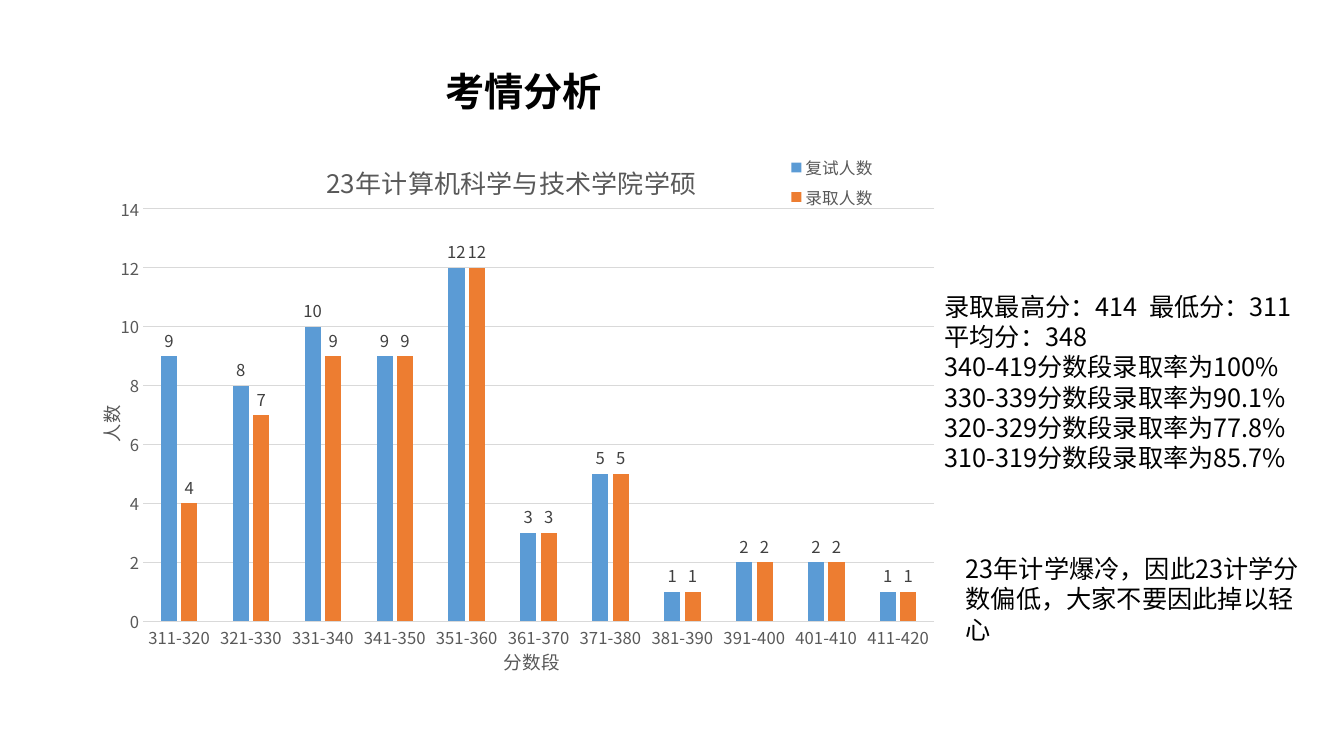
import pptx
import pptx.util
import pptx.dml.color
import pptx.chart.data
import pptx.enum.chart
import pptx.enum.text
import pptx.oxml
import pptx.oxml.ns
from dataclasses import dataclass


@dataclass(frozen=True)
class Theme:
    font: str = "Noto Sans CJK SC"
    title_font: str = "Arial"
    black: str = "000000"
    gray: str = "595959"
    label: str = "404040"
    grid: str = "D9D9D9"
    series: tuple = ("5B9BD5", "ED7D31")
    title_size: float = 28
    body_size: float = 18
    chart_title_size: float = 18.6
    axis_title_size: float = 13.3
    tick_size: float = 11.9


THEME = Theme()
PX = 9144  # 100 px to the inch
CATEGORIES = ["311-320", "321-330", "331-340", "341-350", "351-360", "361-370",
              "371-380", "381-390", "391-400", "401-410", "411-420"]
SERIES = {"复试人数": [9, 8, 10, 9, 12, 3, 5, 1, 2, 2, 1],
          "录取人数": [4, 7, 9, 9, 12, 3, 5, 1, 2, 2, 1]}
SCORES = ["录取最高分：414  最低分：311", "平均分：348", "340-419分数段录取率为100%",
          "330-339分数段录取率为90.1%", "320-329分数段录取率为77.8%",
          "310-319分数段录取率为85.7%"]
REMARK = ["23年计学爆冷，因此23计学分数偏低，大家不要因此掉以轻心"]


def emu(box):
    return [v * PX for v in box]


def rgb(color):
    return pptx.dml.color.RGBColor.from_string(color)


def set_font(font, size, color, name=THEME.font, bold=False):
    values = {"size": pptx.util.Pt(size), "name": name, "bold": bold}
    for key, value in values.items():
        setattr(font, key, value)
    font.color.rgb = rgb(color)


def add_text(slide, box, lines, size, name=THEME.font, bold=False, align=None):
    tf = slide.shapes.add_textbox(*emu(box)).text_frame
    values = {"word_wrap": True,
              "auto_size": pptx.enum.text.MSO_AUTO_SIZE.SHAPE_TO_FIT_TEXT}
    for key, value in values.items():
        setattr(tf, key, value)
    for i, line in enumerate(lines):
        p = tf.add_paragraph() if i else tf.paragraphs[0]
        p.alignment = align
        p.line_spacing = pptx.util.Pt(size * 1.2)
        r = p.add_run()
        r.text = line
        set_font(r.font, size, THEME.black, name, bold)


def set_layout(parent, after, x, y, w=None, h=None, inner=False):
    """Place a chart part by fractions of the chart's box."""
    for old in parent.findall(pptx.oxml.ns.qn("c:layout")):
        parent.remove(old)
    parts = [("layoutTarget", "inner")] if inner else []
    parts += [("xMode", "edge"), ("yMode", "edge"), ("x", x), ("y", y)]
    parts += [("w", w), ("h", h)] if w else []
    body = "".join(f'<c:{tag} val="{value}"/>' for tag, value in parts)
    layout = pptx.oxml.parse_xml(
        f'<c:layout {pptx.oxml.ns.nsdecls("c")}><c:manualLayout>{body}'
        '</c:manualLayout></c:layout>')
    if after is None:
        parent.insert(0, layout)
    else:
        parent.find(pptx.oxml.ns.qn(after)).addnext(layout)


def set_title(owner, text, size, x, y):
    title = owner.chart_title if hasattr(owner, "chart_title") else owner.axis_title
    p = title.text_frame.paragraphs[0]
    r = p.add_run()
    r.text = text
    set_font(r.font, size, THEME.gray)
    set_layout(title._element, "c:tx", x, y)


def add_score_chart(slide, box):
    data = pptx.chart.data.CategoryChartData()
    data.categories = CATEGORIES
    for name, values in SERIES.items():
        data.add_series(name, values)
    ec = pptx.enum.chart
    chart = slide.shapes.add_chart(
        ec.XL_CHART_TYPE.COLUMN_CLUSTERED, *emu(box), data).chart
    set_font(chart.font, 10, THEME.black)

    # Columns and value labels
    plot = chart.plots[0]
    for key, value in {"gap_width": 219, "overlap": -27,
                       "vary_by_categories": False}.items():
        setattr(plot, key, value)
    for series, color in zip(plot.series, THEME.series):
        series.format.fill.solid()
        series.format.fill.fore_color.rgb = rgb(color)
        labels = series.data_labels
        labels.show_value = True
        labels.position = ec.XL_LABEL_POSITION.OUTSIDE_END
        set_font(labels.font, THEME.tick_size, THEME.label)

    # Axes
    cat, val = chart.category_axis, chart.value_axis
    for axis in (cat, val):
        axis.major_tick_mark = axis.minor_tick_mark = ec.XL_TICK_MARK.NONE
        set_font(axis.tick_labels.font, THEME.tick_size, THEME.gray)
    for key, value in {"minimum_scale": 0, "maximum_scale": 14,
                       "major_unit": 2}.items():
        setattr(val, key, value)
    val.format.line.fill.background()
    for line in (cat.format.line, val.major_gridlines.format.line):
        line.color.rgb = rgb(THEME.grid)
        line.width = pptx.util.Pt(0.75)

    # Titles, legend and plot area
    set_title(chart, "23年计算机科学与技术学院学硕", THEME.chart_title_size, 0.28, 0.04)
    set_title(cat, "分数段", THEME.axis_title_size, 0.49, 0.95)
    set_title(val, "人数", THEME.axis_title_size, 0.01, 0.5)
    chart.has_legend = True
    chart.legend.position = ec.XL_LEGEND_POSITION.BOTTOM
    chart.legend.include_in_layout = False
    set_font(chart.legend.font, THEME.tick_size, THEME.gray)
    set_layout(chart.legend._element, "c:legendPos", 0.82, 0.03, 0.12, 0.12)
    plot_area = chart._chartSpace.chart.plotArea
    set_layout(plot_area, None, 0.07, 0.14, 0.93, 0.77, inner=True)


def add_analysis_slide(prs):
    slide = prs.slides.add_slide(prs.slide_layouts[6])
    # Heading
    add_text(slide, (253, 62, 533, 57), ["考情分析"], THEME.title_size,
             THEME.title_font, True, pptx.enum.text.PP_ALIGN.CENTER)
    # Score summary
    add_text(slide, (927, 284, 420, 222), SCORES, THEME.body_size)
    # Chart of candidates per score band
    add_score_chart(slide, (83, 133, 844, 542))
    # Closing remark
    add_text(slide, (948, 544, 362, 101), REMARK, THEME.body_size)


def main():
    prs = pptx.Presentation()
    prs.slide_width, prs.slide_height = emu((1333, 750))
    add_analysis_slide(prs)
    prs.save("out.pptx")


if __name__ == "__main__":
    main()
